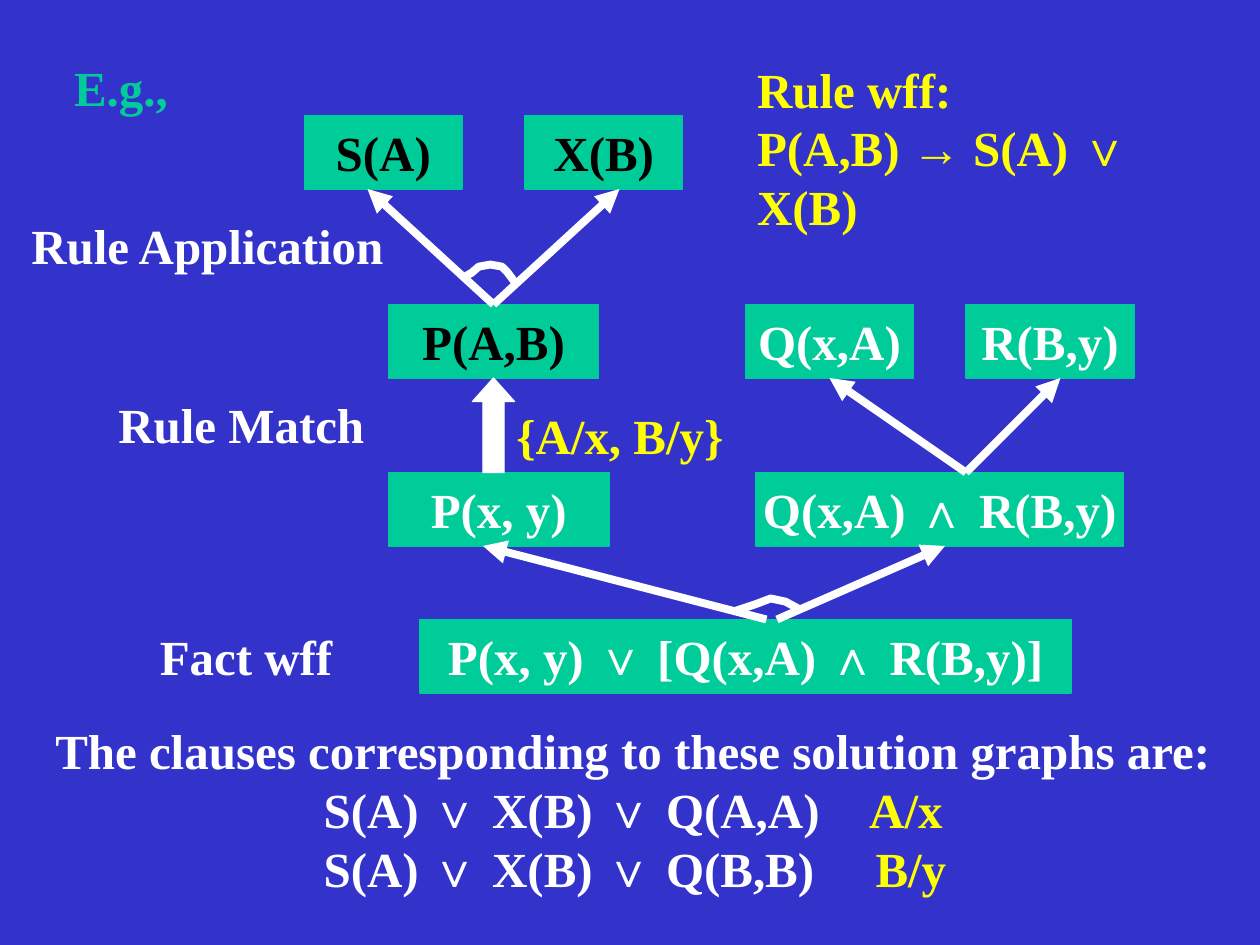
from dataclasses import dataclass
from itertools import groupby

from pptx import Presentation
from pptx.dml.color import RGBColor
from pptx.enum.shapes import MSO_CONNECTOR, MSO_SHAPE
from pptx.enum.text import MSO_ANCHOR, PP_ALIGN
from pptx.oxml.ns import qn
from pptx.util import Inches, Pt
from lxml.etree import SubElement

GREEN, WHITE, YELLOW, BLACK, BLUE = "00CC99", "FFFFFF", "FFFF00", "000000", "3333CC"
SYMBOLS = "∨∧→"
CELLS_PER_INCH = 12
BOX_ROWS = 7
TOP, BOTTOM = 0, 2  # connection sites of a rectangle


@dataclass
class Node:
    text: str
    col: float
    row: float
    cols: float
    color: str = WHITE


@dataclass
class Label:
    lines: list  # each line is a list of (text, color)
    left: float
    top: float
    width: float
    height: float = 0.57
    wrap: bool = False
    tabs: tuple = ()  # one tuple of stops per line


@dataclass
class Arrow:
    start: tuple
    end: tuple
    start_node: str = ""
    end_node: str = ""


def grid(cells: float) -> int:
    return Inches(cells / CELLS_PER_INCH)


def rgb(color: str) -> RGBColor:
    return RGBColor.from_string(color)


def write(paragraph, text: str, color: str) -> None:
    """Add text in bold Times New Roman, with logic symbols in Arial."""
    for is_symbol, letters in groupby(text, key=lambda letter: letter in SYMBOLS):
        run = paragraph.add_run()
        run.text = "".join(letters)
        font_format = {"size": Pt(28), "bold": True,
                       "name": "Arial" if is_symbol else "Times New Roman"}
        for attribute, value in font_format.items():
            setattr(run.font, attribute, value)
        run.font.color.rgb = rgb(color)


def paint(shape, color: str) -> None:
    shape.shadow.inherit = False
    shape.fill.solid()
    shape.fill.fore_color.rgb = rgb(color)
    shape.line.color.rgb = rgb(color)
    shape.line.width = Pt(0.75)


def draw_node(shapes, node: Node):
    box = shapes.add_shape(MSO_SHAPE.RECTANGLE, grid(node.col), grid(node.row),
                           grid(node.cols), grid(BOX_ROWS))
    paint(box, GREEN)
    frame = box.text_frame
    frame.word_wrap = False
    frame.vertical_anchor = MSO_ANCHOR.MIDDLE
    frame.paragraphs[0].alignment = PP_ALIGN.CENTER
    write(frame.paragraphs[0], node.text, node.color)
    return box


def draw_label(shapes, label: Label) -> None:
    frame = shapes.add_textbox(*map(Inches, (label.left, label.top,
                                             label.width, label.height))).text_frame
    frame.word_wrap = label.wrap
    for index, line in enumerate(label.lines):
        paragraph = frame.add_paragraph() if index else frame.paragraphs[0]
        if label.tabs and label.tabs[index]:
            stops = SubElement(paragraph._p.get_or_add_pPr(), qn("a:tabLst"))
            for stop in label.tabs[index]:
                SubElement(stops, qn("a:tab"), pos=str(Inches(stop)), algn="l")
        for text, color in line:
            write(paragraph, text, color)


def draw_arrow(shapes, arrow: Arrow, boxes: dict) -> None:
    connector = shapes.add_connector(MSO_CONNECTOR.STRAIGHT,
                                     *map(grid, arrow.start + arrow.end))
    if arrow.start_node:
        connector.begin_connect(boxes[arrow.start_node], TOP)
    if arrow.end_node:
        connector.end_connect(boxes[arrow.end_node], BOTTOM)
    connector.line.color.rgb = rgb(WHITE)
    connector.line.width = Pt(4.5)
    SubElement(connector.line._get_or_add_ln(), qn("a:tailEnd"), type="triangle")
    SubElement(connector._element.spPr, qn("a:effectLst"))


def draw_arc(shapes, points: list) -> None:
    first, *others = [(grid(col), grid(row)) for col, row in points]
    builder = shapes.build_freeform(*first)
    builder.add_line_segments(others, close=False)
    arc = builder.convert_to_shape()
    arc.shadow.inherit = False
    arc.fill.background()
    arc.line.color.rgb = rgb(WHITE)
    arc.line.width = Pt(4.5)


NODES = [
    Node("P(x, y) ∨ [Q(x,A) ∧ R(B,y)]", 40, 59, 62),
    Node("P(x, y)", 37, 45, 21),
    Node("X(B)", 50, 11, 15, BLACK),
    Node("S(A)", 29, 11, 15, BLACK),
    Node("P(A,B)", 37, 29, 20, BLACK),
    Node("R(B,y)", 92, 29, 16),
    Node("Q(x,A)", 71, 29, 16),
    Node("Q(x,A) ∧ R(B,y)", 72, 45, 35),
]
ARROWS = [
    Arrow((73, 59), (46, 52)),
    Arrow((74, 59), (90, 52)),
    Arrow((92, 45), (101, 36)),
    Arrow((92, 45), (79, 36), end_node="Q(x,A)"),
    Arrow((47, 29), (59, 18), start_node="P(A,B)"),
    Arrow((47, 29), (35, 18), start_node="P(A,B)"),
]
AND_ARCS = [
    [(70, 58.2), (72.1, 57.5), (73.4, 57), (74.8, 57.3), (76.1, 58)],
    [(44, 26.5), (44.9, 26), (45.6, 25.4), (46.7, 25.2),
     (47.8, 25.4), (48.3, 25.9), (49.2, 27.1)],
]
LABELS = [
    Label([[("E.g.,", GREEN)]], 0.49, 0.41, 1.33),
    Label([[("Rule wff:", YELLOW)], [("P(A,B) → S(A) ∨ X(B)", YELLOW)]],
          5.91, 0.42, 3.85, 1.04, wrap=True),
    Label([[("Rule Application", WHITE)]], 0.15, 1.66, 3.01),
    Label([[("Rule Match", WHITE)]], 0.84, 3.08, 2.15),
    Label([[("{A/x, B/y}", YELLOW)]], 4, 3.17, 2, wrap=True),
    Label([[("Fact wff", WHITE)]], 1.17, 4.92, 1.57),
    Label([[("The clauses corresponding to these solution graphs are:", WHITE)],
           [("\tS(A) ∨ X(B) ∨ Q(A,A)\t", WHITE), ("A/x", YELLOW)],
           [("\tS(A) ∨ X(B) ∨ Q(B,B)\t", WHITE), ("B/y", YELLOW)]],
          0.34, 5.67, 9.38, 1.5, tabs=((), (2.13, 6.46), (2.13, 6.51))),
]


def main() -> None:
    deck = Presentation()
    deck.slide_width, deck.slide_height = Inches(10), Inches(7.5)
    slide = deck.slides.add_slide(deck.slide_layouts[6])
    slide.background.fill.solid()
    slide.background.fill.fore_color.rgb = rgb(BLUE)
    shapes = slide.shapes

    boxes = {node.text: draw_node(shapes, node) for node in NODES}
    for arrow in ARROWS:
        draw_arrow(shapes, arrow, boxes)
    for points in AND_ARCS:
        draw_arc(shapes, points)

    match_arrow = shapes.add_shape(MSO_SHAPE.UP_ARROW, *map(grid, (45, 36, 4, 9)))
    match_arrow.adjustments[0], match_arrow.adjustments[1] = 0.5, 0.56
    paint(match_arrow, WHITE)

    for label in LABELS:
        draw_label(shapes, label)
    deck.save("out.pptx")


if __name__ == "__main__":
    main()
